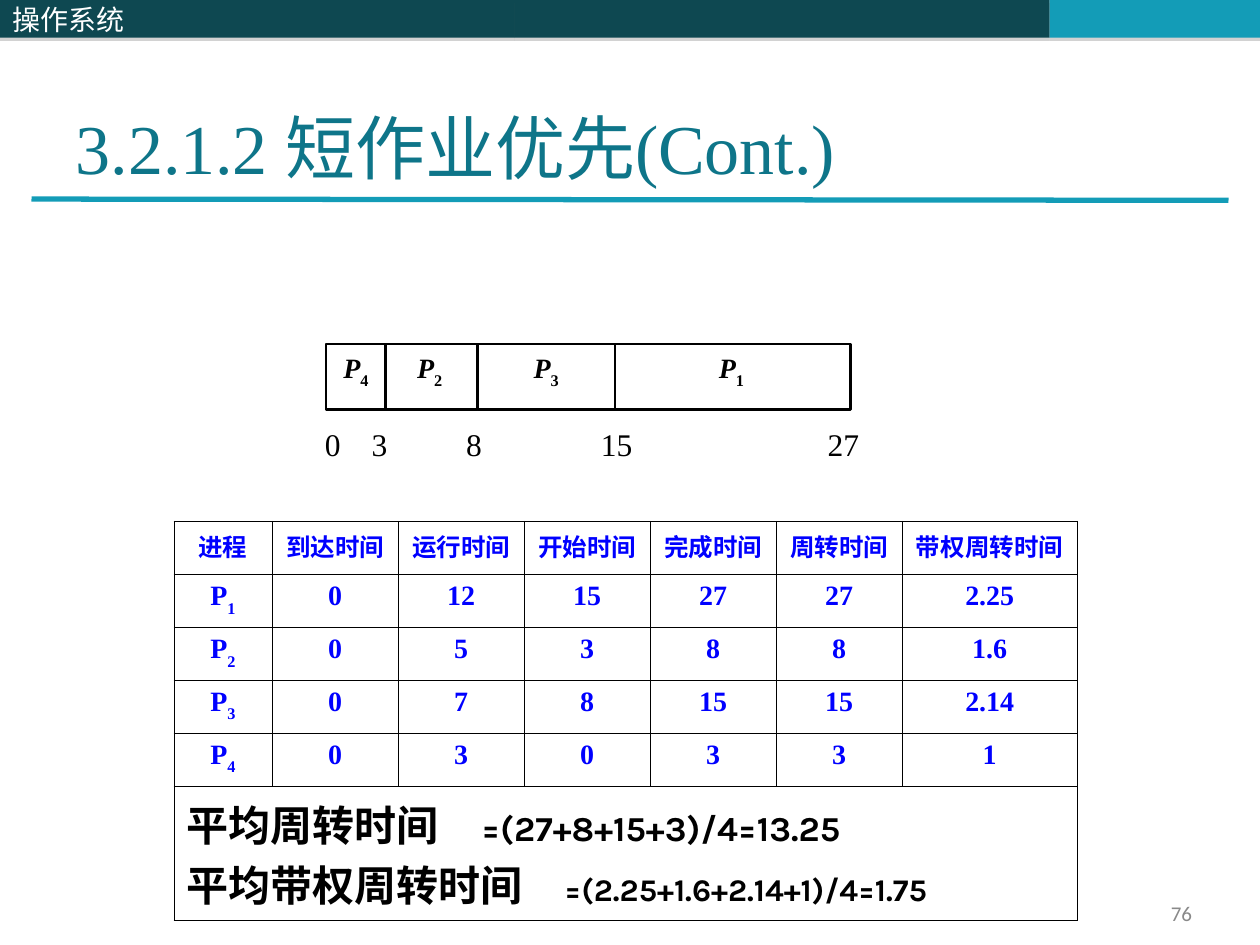
from dataclasses import dataclass

from lxml.etree import SubElement
from pptx import Presentation
from pptx.dml.color import RGBColor
from pptx.enum.shapes import MSO_CONNECTOR, MSO_SHAPE
from pptx.enum.text import MSO_ANCHOR, MSO_AUTO_SIZE, PP_ALIGN
from pptx.oxml import parse_xml
from pptx.oxml.ns import nsdecls, qn
from pptx.util import Inches, Pt


@dataclass(frozen=True)
class Theme:
    dark: str = "0E4851"
    accent: str = "139CB7"
    title: str = "0E7589"
    white: str = "FFFFFF"
    black: str = "000000"
    blue: str = "0000FF"
    gray: str = "898989"
    serif: str = "Times New Roman"
    sans: str = "Karla"
    chinese: str = "Noto Sans CJK SC"
    number: str = "Calibri"
    title_size: int = 40
    tick_size: int = 18
    body_size: int = 16
    head_size: int = 14
    number_size: int = 12
    summary_size: int = 24
    thin: float = 0.45
    thick: float = 0.96


class SlideBuilder:
    def __init__(self, page, theme):
        self.page = page
        self.theme = theme

    def add_text(self, para, text, size, color, font, base=None, **formats):
        """Add one styled run; base shifts it below the baseline."""
        span = para.add_run()
        span.text = text
        values = {"size": Pt(size), "name": font, **formats}
        for name, value in values.items():
            setattr(span.font, name, value)
        span.font.color.rgb = RGBColor.from_string(color)
        properties = span.font._element
        SubElement(properties, qn("a:ea")).set("typeface", self.theme.chinese)
        if base:
            properties.set("baseline", str(base * 1000))

    def process(self, para, number, color, **formats):
        """Add a process name with its subscript."""
        style = (self.theme.body_size, color, self.theme.serif)
        self.add_text(para, "P", *style, bold=True, **formats)
        self.add_text(para, str(number), *style, base=-30, bold=True)

    def tabs(self, para, stops):
        tab_list = SubElement(para._p.get_or_add_pPr(), qn("a:tabLst"))
        for stop in stops:
            tab = SubElement(tab_list, qn("a:tab"))
            tab.set("pos", str(Inches(stop)))
            tab.set("algn", "l")

    def frame(self, frame, anchor=MSO_ANCHOR.TOP, side=0.1, edge=0.05):
        formats = {
            "word_wrap": True, "auto_size": MSO_AUTO_SIZE.NONE,
            "vertical_anchor": anchor,
            "margin_left": Inches(side), "margin_right": Inches(side),
            "margin_top": Inches(edge), "margin_bottom": Inches(edge),
        }
        for name, value in formats.items():
            setattr(frame, name, value)
        return frame.paragraphs[0]

    def rectangle(self, left, top, width, height, fill, line=None, weight=1.25,
                  parent=None):
        shapes = (parent or self.page).shapes
        box = shapes.add_shape(MSO_SHAPE.RECTANGLE, Inches(left), Inches(top),
                               Inches(width), Inches(height))
        box.shadow.inherit = False
        box.fill.solid()
        box.fill.fore_color.rgb = RGBColor.from_string(fill)
        if line:
            box.line.color.rgb = RGBColor.from_string(line)
            box.line.width = Pt(weight)
        else:
            box.line.fill.background()
        return box

    def bar(self, left, width, fill):
        """Add a header band with a soft gray edge below it."""
        box = self.rectangle(left, 0, width, 0.3, fill)
        effects = box._element.spPr.find(qn("a:effectLst"))
        effects.append(parse_xml(
            f'<a:outerShdw {nsdecls("a")} blurRad="0" dist="{Pt(1.8)}" dir="5400000">'
            '<a:srgbClr val="808080"><a:alpha val="35000"/></a:srgbClr></a:outerShdw>'))
        return box

    def rule(self, start, end, color, weight):
        line = self.page.shapes.add_connector(
            MSO_CONNECTOR.STRAIGHT, *map(Inches, start), *map(Inches, end))
        line.line.color.rgb = RGBColor.from_string(color)
        line.line.width = Pt(weight)
        SubElement(line._element.spPr, qn("a:effectLst"))

    def title(self, text):
        theme = self.theme
        box = self.page.shapes.title
        place = {"left": 0.5, "top": 0.3, "width": 9, "height": 1.25}
        for name, value in place.items():
            setattr(box, name, Inches(value))
        para = self.frame(box.text_frame, MSO_ANCHOR.BOTTOM)
        para.alignment = PP_ALIGN.LEFT
        self.add_text(para, text, theme.title_size, theme.title, theme.serif)

    def page_number(self, text):
        theme = self.theme
        box = self.page.shapes.add_textbox(Inches(7.5), Inches(7.1), Inches(2.06), Inches(0.27))
        para = self.frame(box.text_frame)
        para.alignment = PP_ALIGN.RIGHT
        self.add_text(para, text, theme.number_size, theme.gray, theme.number)

    def gantt(self, blocks, ticks):
        """Draw process blocks above a tabbed row of time labels."""
        theme = self.theme
        group = self.page.shapes.add_group_shape()
        scale = self.rectangle(2.48, 3.36, 4.49, 0.36, theme.white, theme.white, 0.75, group)
        para = self.frame(scale.text_frame, edge=0.01)
        para.alignment = PP_ALIGN.LEFT
        self.tabs(para, [stop for _, stop in ticks if stop])
        self.add_text(para, "\t".join(label for label, _ in ticks),
                      theme.tick_size, theme.black, theme.serif)
        for number, left, width in blocks:
            box = self.rectangle(left, 2.73, width, 0.52, theme.white, theme.black, parent=group)
            para = self.frame(box.text_frame)
            para.alignment = PP_ALIGN.CENTER
            self.process(para, number, theme.black, italic=True)

    def border(self, cell, top, bottom):
        weights = {"L": self.theme.thin, "R": self.theme.thin, "T": top, "B": bottom}
        properties = cell._tc.get_or_add_tcPr()
        for index, (side, weight) in enumerate(weights.items()):
            properties.insert(index, parse_xml(
                f'<a:ln{side} {nsdecls("a")} w="{Pt(weight)}"><a:solidFill>'
                f'<a:srgbClr val="{self.theme.black}"/></a:solidFill></a:ln{side}>'))

    def table(self, header, rows, summary, widths, heights):
        theme = self.theme
        table = self.page.shapes.add_table(
            len(heights), len(widths), Inches(1.38), Inches(4.14),
            Inches(sum(widths)), Inches(sum(heights))).table
        table.first_row = table.horz_banding = False
        for column, width in zip(table.columns, widths):
            column.width = Inches(width)
        for row, height in zip(table.rows, heights):
            row.height = Inches(height)

        # Grid lines, heavier around the header and at the bottom
        last = len(heights) - 1
        for index, row in enumerate(table.rows):
            for cell in row.cells:
                cell.fill.background()
                self.border(cell, theme.thick if index < 2 else theme.thin,
                            theme.thick if index in (0, last) else theme.thin)

        # Header and process rows
        for row_index, values in enumerate([header, *rows]):
            size = theme.body_size if row_index else theme.head_size
            for column_index, value in enumerate(values):
                para = table.cell(row_index, column_index).text_frame.paragraphs[0]
                para.alignment = PP_ALIGN.CENTER
                if row_index and column_index == 0:
                    self.process(para, value, theme.blue)
                else:
                    self.add_text(para, value, size, theme.blue, theme.serif, bold=True)

        # Averages across the full width
        cell = table.cell(last, 0)
        cell.merge(table.cell(last, len(widths) - 1))
        for index, (label, formula, size, stop) in enumerate(summary):
            para = cell.text_frame.add_paragraph() if index else cell.text_frame.paragraphs[0]
            self.tabs(para, [stop])
            for text, points in ((label + "\t", theme.summary_size), (formula, size)):
                self.add_text(para, text, points, theme.black, theme.sans, bold=True)


def main():
    deck = Presentation()
    deck.slide_width, deck.slide_height = Inches(10), Inches(7.5)
    theme = Theme()
    builder = SlideBuilder(deck.slides.add_slide(deck.slide_layouts[5]), theme)

    # Header band and title
    builder.bar(4.08, 4.25, theme.dark)
    builder.bar(8.33, 1.67, theme.accent)
    builder.rule((0.25, 1.58), (9.75, 1.59), theme.accent, 3)
    course = builder.bar(0, 4.08, theme.dark)
    para = builder.frame(course.text_frame, MSO_ANCHOR.MIDDLE)
    para.alignment = PP_ALIGN.LEFT
    builder.add_text(para, "操作系统", theme.body_size, theme.white, theme.chinese)
    builder.title("3.2.1.2 短作业优先(Cont.)")

    # Schedule: process, left, width; time label, tab stop
    builder.gantt(
        [(1, 4.86, 1.89), (2, 3.03, 0.76), (3, 3.79, 1.09), (4, 2.59, 0.47)],
        [("0", 0), ("3", 0.37), ("8", 1.12), ("15", 2.19), ("27", 3.99)])

    # Turnaround times
    builder.table(
        ["进程", "到达时间", "运行时间", "开始时间", "完成时间", "周转时间", "带权周转时间"],
        [["1", "0", "12", "15", "27", "27", "2.25"],
         ["2", "0", "5", "3", "8", "8", "1.6"],
         ["3", "0", "7", "8", "15", "15", "2.14"],
         ["4", "0", "3", "0", "3", "3", "1"]],
        [("平均周转时间", "=(27+8+15+3)/4=13.25", 20, 2.34),
         ("平均带权周转时间", "=(2.25+1.6+2.14+1)/4=1.75", 18, 3)],
        [0.78] + [1] * 5 + [1.39], [0.42] * 5 + [0.9])
    builder.page_number("76")

    deck.save("out.pptx")


if __name__ == "__main__":
    main()
